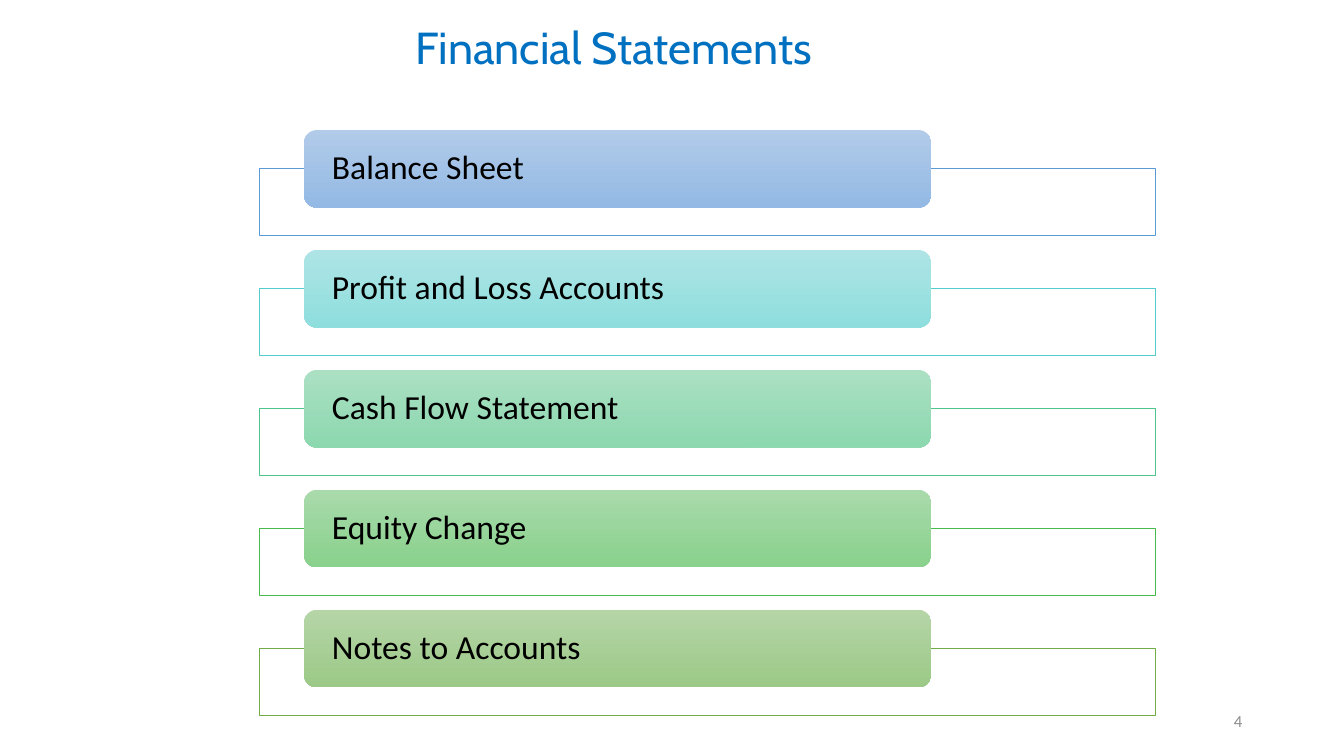
from lxml import etree
from pptx import Presentation
from pptx.dml.color import RGBColor
from pptx.enum.shapes import MSO_SHAPE as SHAPE
from pptx.enum.text import MSO_ANCHOR as ANCHOR, PP_ALIGN as ALIGN
from pptx.oxml.ns import qn
from pptx.util import Inches, Pt

TITLE = "Financial Statements"
PAGE = "4"
STATEMENTS = [
    ("Balance Sheet", "5B9BD5", "B1CBE9", "93B9E4"),
    ("Profit and Loss Accounts", "54CCCD", "AEE4E5", "8FDEDE"),
    ("Cash Flow Statement", "4DC58D", "ABE0C3", "8CD8AF"),
    ("Equity Change", "48BB4F", "A9DAAB", "89D18C"),
    ("Notes to Accounts", "70AD47", "B5D5A7", "9CC987"),
]
BLUE = RGBColor(0x00, 0x70, 0xC0)
BLACK = RGBColor(0, 0, 0)
GREY = RGBColor(0x8C, 0x8C, 0x8C)
WHITE = RGBColor(0xFF, 0xFF, 0xFF)

WIDTH, HEIGHT = 13.33, 7.5
TOP, PITCH = 1.29, 1.19
FRAME_LEFT, FRAME_W, FRAME_H = 2.57, 8.89, 0.66
BAR_LEFT, BAR_W, BAR_H = FRAME_LEFT + FRAME_W / 20, FRAME_W * 0.7, 0.77


def set_text(sp, text, size, font, color, align=ALIGN.LEFT, spacing=1.0):
    tf = sp.text_frame
    tf.text = text
    tf.word_wrap = True
    tf.vertical_anchor = ANCHOR.MIDDLE
    p = tf.paragraphs[0]
    p.alignment = align
    p.line_spacing = spacing
    r = p.runs[0]
    r.font.size = Pt(size)
    r.font.name = font
    r.font.color.rgb = color


def add_label(s, box, *style):
    set_text(s.shapes.add_textbox(*map(Inches, box)), *style)


def add_frame(s, top, color):
    sp = s.shapes.add_shape(
        SHAPE.RECTANGLE, *map(Inches, (FRAME_LEFT, top, FRAME_W, FRAME_H)))
    sp.shadow.inherit = False
    sp.fill.solid()
    sp.fill.fore_color.rgb = WHITE
    rgb = sp.fill._xPr.find(".//" + qn("a:srgbClr"))
    etree.SubElement(rgb, qn("a:alpha"), val="90000")
    sp.line.color.rgb = RGBColor.from_string(color)
    sp.line.width = Pt(0.5)


def add_bar(s, top, text, colors):
    sp = s.shapes.add_shape(
        SHAPE.ROUNDED_RECTANGLE, *map(Inches, (BAR_LEFT, top, BAR_W, BAR_H)))
    sp.shadow.inherit = False
    sp.line.fill.background()
    sp.fill.gradient()
    sp.fill.gradient_angle = 270
    for stop, color in zip(sp.fill.gradient_stops, colors):
        stop.color.rgb = RGBColor.from_string(color)
    set_text(sp, text, 24, "Calibri", BLACK, ALIGN.LEFT, 0.9)
    tf = sp.text_frame
    tf.margin_left = tf.margin_right = Inches(0.24)
    tf.margin_top = tf.margin_bottom = 0


def main():
    """Build the financial statements slide."""
    prs = Presentation()
    prs.slide_width, prs.slide_height = Inches(WIDTH), Inches(HEIGHT)
    s = prs.slides.add_slide(prs.slide_layouts[6])
    add_label(s, (2.68, 0.18, 6.82, 0.63),
              TITLE, 32, "Cabin", BLUE, ALIGN.CENTER, 0.9)
    for row, (text, line, *colors) in enumerate(STATEMENTS):
        top = TOP + row * PITCH
        add_frame(s, top + BAR_H / 2, line)
        add_bar(s, top, text, colors)
    add_label(s, (9.42, 6.95, 3, 0.4), PAGE, 12, "Calibri", GREY, ALIGN.RIGHT)
    prs.save("out.pptx")


if __name__ == "__main__":
    main()
